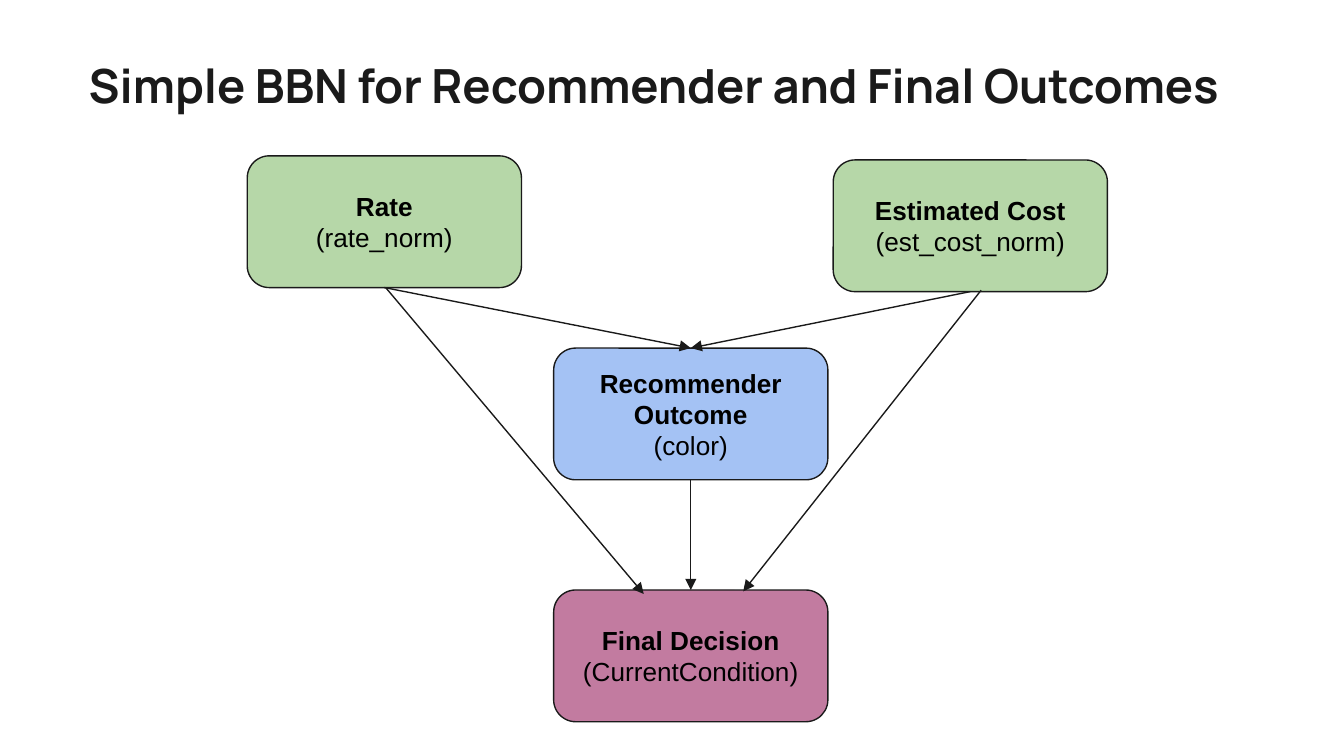
from lxml import etree
from pptx import Presentation
from pptx.dml.color import RGBColor
from pptx.enum import shapes, text
from pptx.oxml import ns
from pptx.util import Inches, Pt

INK = RGBColor(0x1A, 0x1A, 0x1A)
BLACK = RGBColor(0, 0, 0)
GREEN = RGBColor(0xB6, 0xD7, 0xA8)
BLUE = RGBColor(0xA4, 0xC2, 0xF4)
MAUVE = RGBColor(0xC2, 0x7B, 0xA0)

NODE_WIDTH, NODE_HEIGHT = 2.04, 0.98
TOP_SITE, BOTTOM_SITE = 0, 2

# Key: left and top within the network, fill, heading, variable
NODES = {
    "rate": (0, 0, GREEN, "Rate", "(rate_norm)"),
    "cost": (4.36, 0.03, GREEN, "Estimated Cost", "(est_cost_norm)"),
    "recommender": (2.28, 1.43, BLUE, "Recommender Outcome", "(color)"),
    "decision": (2.28, 3.23, MAUVE, "Final Decision", "(CurrentCondition)"),
}
GLUED_LINKS = [("cost", "recommender"), ("recommender", "decision"),
               ("rate", "recommender")]
# Direct links to the decision: from x, from y, to x, to y
DIRECT_LINKS = [(5.46, 1, 3.69, 3.24), (1.03, 0.98, 2.95, 3.26)]


def set_attributes(target, values):
    for name, value in values.items():
        setattr(target, name, value)


def format_frame(frame, anchor):
    margins = {f"margin_{side}": Inches(0.1)
               for side in ("left", "top", "right", "bottom")}
    set_attributes(frame, {"word_wrap": True, "vertical_anchor": anchor,
                           "auto_size": text.MSO_AUTO_SIZE.NONE, **margins})


def write(paragraph, words, alignment, color, **font_values):
    paragraph.alignment = alignment
    run = paragraph.add_run()
    run.text = words
    set_attributes(run.font, font_values)
    run.font.color.rgb = color


def add_title(slide, left, top, width, height):
    title = slide.shapes.title
    set_attributes(title, {"left": Inches(left), "top": Inches(top),
                           "width": Inches(width), "height": Inches(height)})
    format_frame(title.text_frame, text.MSO_ANCHOR.TOP)
    write(title.text_frame.paragraphs[0],
          "Simple BBN for Recommender and Final Outcomes",
          text.PP_ALIGN.LEFT, INK, name="Manrope", size=Pt(25.2), bold=True)


def add_node(slide, left, top, fill, heading, variable):
    node = slide.shapes.add_shape(
        shapes.MSO_SHAPE.ROUNDED_RECTANGLE, Inches(left), Inches(top),
        Inches(NODE_WIDTH), Inches(NODE_HEIGHT))
    node.shadow.inherit = False
    node.fill.solid()
    node.fill.fore_color.rgb = fill
    node.line.color.rgb = INK
    node.line.width = Pt(0.75)
    frame = node.text_frame
    format_frame(frame, text.MSO_ANCHOR.MIDDLE)
    lines = [(frame.paragraphs[0], heading, True),
             (frame.add_paragraph(), variable, False)]
    for paragraph, words, bold in lines:
        write(paragraph, words, text.PP_ALIGN.CENTER, BLACK,
              name="Arial", size=Pt(14), bold=bold)
    return node


def add_arrow(slide, *ends):
    arrow = slide.shapes.add_connector(
        shapes.MSO_CONNECTOR.STRAIGHT, *(Inches(end) for end in ends))
    arrow.line.color.rgb = INK
    arrow.line.width = Pt(0.75)
    # Arrowhead at the end, and no shadow
    properties = arrow._element.spPr
    etree.SubElement(properties.find(ns.qn("a:ln")), ns.qn("a:tailEnd"),
                     type="triangle")
    etree.SubElement(properties, ns.qn("a:effectLst"))
    return arrow


def add_network(slide, left, top):
    nodes = {key: add_node(slide, left + x, top + y, *content)
             for key, (x, y, *content) in NODES.items()}
    # Links between the middles of facing sides
    for source, target in GLUED_LINKS:
        arrow = add_arrow(slide, 0, 0, 1, 1)
        arrow.begin_connect(nodes[source], BOTTOM_SITE)
        arrow.end_connect(nodes[target], TOP_SITE)
    # Links that pass beside the recommender
    for x1, y1, x2, y2 in DIRECT_LINKS:
        add_arrow(slide, left + x1, top + y1, left + x2, top + y2)


def main():
    presentation = Presentation()
    presentation.slide_width = Inches(10)
    presentation.slide_height = Inches(10 * 9 / 16)
    slide = presentation.slides.add_slide(presentation.slide_layouts[5])
    add_network(slide, 1.84, 1.16)
    add_title(slide, 0.56, 0.32, 9.44, 0.7)
    presentation.save("out.pptx")


if __name__ == "__main__":
    main()
